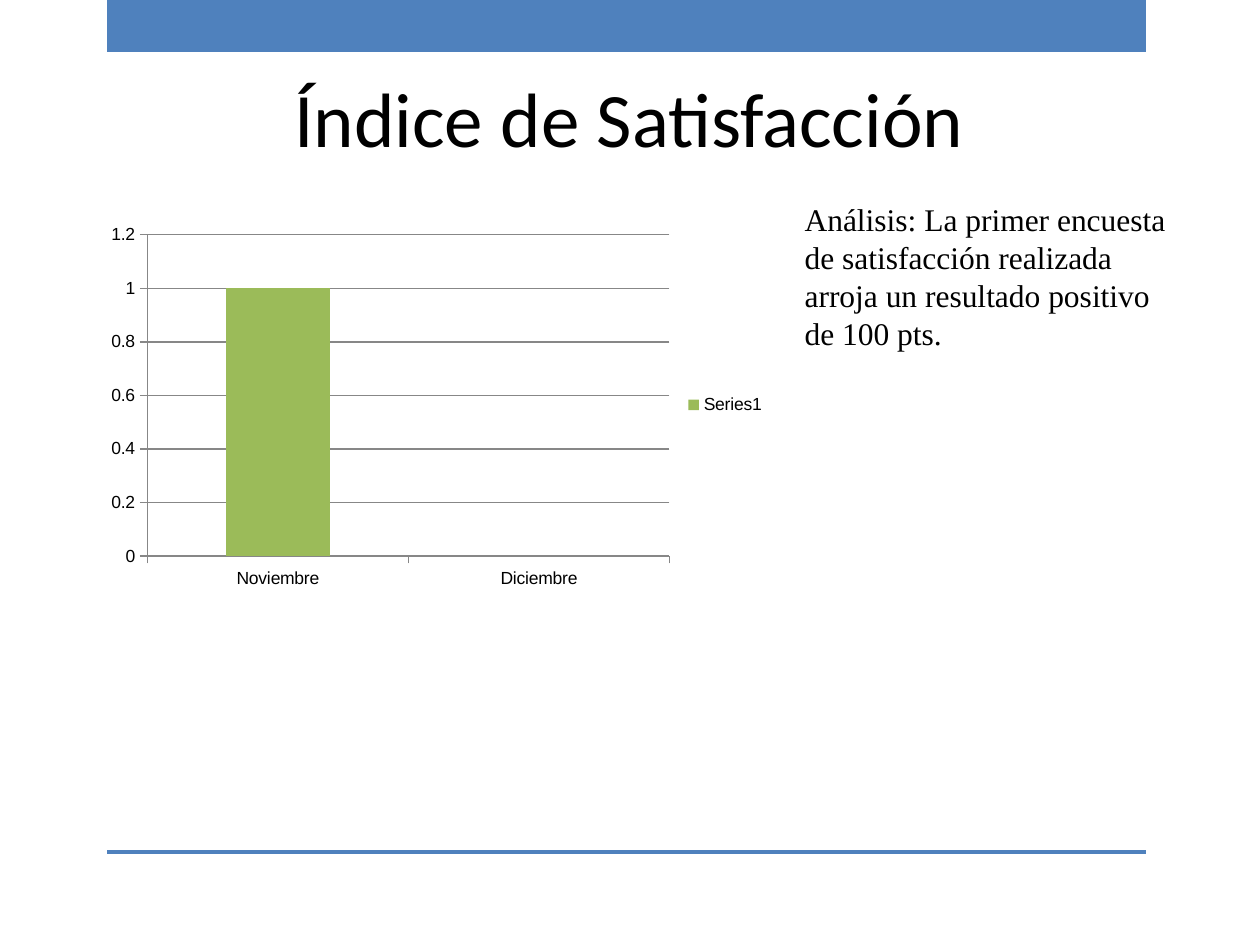
from pptx import Presentation
from pptx.chart.data import CategoryChartData
from pptx.dml.color import RGBColor
from pptx.enum.chart import XL_CHART_TYPE, XL_LEGEND_POSITION, XL_TICK_MARK
from pptx.enum.shapes import MSO_SHAPE
from pptx.enum.text import MSO_ANCHOR, MSO_AUTO_SIZE, PP_ALIGN
from pptx.oxml import parse_xml
from pptx.oxml.ns import nsdecls
from pptx.util import Emu, Pt

RECT = MSO_SHAPE.RECTANGLE
COLUMN = XL_CHART_TYPE.COLUMN_CLUSTERED
RIGHT = XL_LEGEND_POSITION.RIGHT
OUT, NONE = XL_TICK_MARK.OUTSIDE, XL_TICK_MARK.NONE
LEFT, CENTER = PP_ALIGN.LEFT, PP_ALIGN.CENTER
TOP, MIDDLE = MSO_ANCHOR.TOP, MSO_ANCHOR.MIDDLE
FIXED = MSO_AUTO_SIZE.NONE

SCALE = 914400 // 126
INKS = {"blue": "4F81BD", "red": "C0504D", "green": "9BBB59",
        "gray": "878787", "black": "000000", "white": "FFFFFF"}


def px(*vals):
    return [Emu(val * SCALE) for val in vals]


def ink(name):
    return RGBColor.from_string(INKS[name])


def apply(item, vals):
    """Set each named attribute of item."""
    for name, val in vals.items():
        setattr(item, name, val)


def paint(fill, name):
    fill.solid()
    fill.fore_color.rgb = ink(name)


def stroke(form):
    form.line.width = Pt(0.75)
    form.line.color.rgb = ink("gray")


def drop(node, tag):
    for old in node.findall("{*}" + tag):
        node.remove(old)


class Page:
    def __init__(self, deck):
        self.slide = deck.slides.add_slide(deck.slide_layouts[1])
        paint(self.slide.background.fill, "white")

    def bar(self, box):
        shape = self.slide.shapes.add_shape(RECT, *px(*box))
        shape.shadow.inherit = False
        paint(shape.fill, "blue")
        shape.line.fill.background()

    def text(self, idx, box, words, font, align, anchor):
        """Move, fill and format the placeholder at idx."""
        hold = self.slide.placeholders[idx]
        apply(hold, dict(zip(("left", "top", "width", "height"), px(*box))))
        frame = hold.text_frame
        apply(frame, {"text": words, "word_wrap": True, "auto_size": FIXED,
                      "vertical_anchor": anchor})
        line = frame.paragraphs[0]
        apply(line, {"space_before": Pt(0), "alignment": align})
        apply(line.runs[0].font, font)
        line.runs[0].font.color.rgb = ink("black")
        props = line._p.get_or_add_pPr()
        for name in ("marL", "indent"):
            props.set(name, "0")
        props.append(parse_xml(f"<a:buNone {nsdecls('a')}/>"))

    def chart(self, box, cats, rows):
        """Add columns from rows of (colour, values), all unnamed."""
        data = CategoryChartData()
        data.categories = cats
        for _, vals in rows:
            data.add_series("", vals)
        chart = self.slide.shapes.add_chart(COLUMN, *px(*box), data).chart
        apply(chart, {"has_title": False, "has_legend": True})
        apply(chart.font, {"name": "Arial", "size": Pt(10)})
        chart.font.color.rgb = ink("black")
        apply(chart.legend, {"position": RIGHT, "include_in_layout": False})
        plot = chart.plots[0]
        apply(plot, {"gap_width": 150, "vary_by_categories": False})
        for series, (color, vals) in zip(plot.series, rows):
            paint(series.format.fill, color)
            drop(series._element, "tx")
            if not vals:
                drop(series._element, "val")
        for axis in (chart.category_axis, chart.value_axis):
            apply(axis, {"major_tick_mark": OUT, "minor_tick_mark": NONE})
            stroke(axis.format)
        apply(chart.value_axis, {"minimum_scale": 0, "maximum_scale": 1.2,
                                 "major_unit": 0.2})
        stroke(chart.value_axis.major_gridlines.format)
        self.place(chart)

    def place(self, chart):
        """Fix the inner plot area as fractions of the chart."""
        area = chart._chartSpace.chart.plotArea
        drop(area, "layout")
        spots = {"x": 0.07, "y": 0.05, "w": 0.77, "h": 0.85}
        modes = '<c:xMode val="edge"/><c:yMode val="edge"/>'
        sizes = "".join(f'<c:{key} val="{val}"/>' for key, val in spots.items())
        area.insert(0, parse_xml(
            f'<c:layout {nsdecls("c")}><c:manualLayout>'
            f'<c:layoutTarget val="inner"/>{modes}{sizes}'
            '</c:manualLayout></c:layout>'))


def main():
    deck = Presentation()
    deck.slide_width, deck.slide_height = px(1260, 945)
    page = Page(deck)
    for top, high in ((0, 52), (850, 4)):
        page.bar((107, top, 1039, high))
    page.text(0, (63, 39, 1133, 156), "Índice de Satisfacción",
              {"name": "Calibri", "size": Pt(44)}, CENTER, MIDDLE)
    page.text(1, (792, 194, 404, 315),
              "Análisis: La primer encuesta de satisfacción realizada "
              "arroja un resultado positivo de 100 pts.",
              {"name": "Times New Roman", "size": Pt(18)}, LEFT, TOP)
    page.chart((100, 216, 678, 378), ("Noviembre", "Diciembre"),
               (("blue", ()), ("red", ()), ("green", (1, None))))
    deck.save("out.pptx")


if __name__ == "__main__":
    main()
